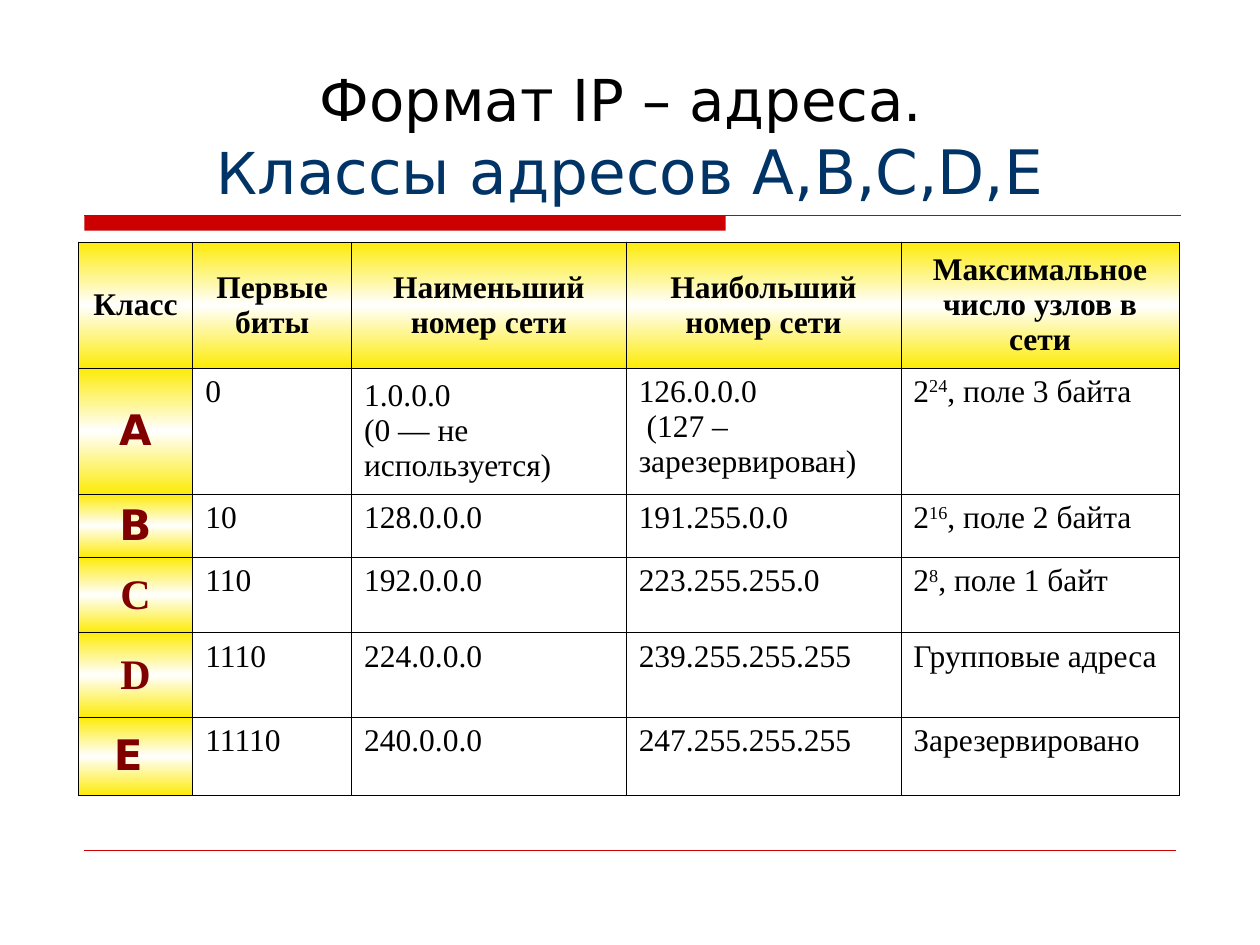
from lxml import etree
from pptx import Presentation
from pptx.dml.color import RGBColor
from pptx.enum.shapes import MSO_CONNECTOR, MSO_SHAPE
from pptx.enum.text import MSO_ANCHOR, PP_ALIGN
from pptx.oxml import parse_xml
from pptx.oxml.ns import nsdecls, qn
from pptx.util import Inches, Pt

CENTER, LEFT = PP_ALIGN.CENTER, PP_ALIGN.LEFT
MIDDLE, TOP, BOTTOM = MSO_ANCHOR.MIDDLE, MSO_ANCHOR.TOP, MSO_ANCHOR.BOTTOM
SANS, SERIF = "DejaVu Sans", "Times New Roman"
BLACK, WHITE, RED = "000000", "FFFFFF", "CC0000"
NAVY, MAROON, YELLOW = "003366", "800000", "FDEB07"

TITLE = [
    ("Формат IP – адреса. \v", 33, BLACK),
    ("К", 33, NAVY),
    ("лассы адресов A,B,C,D,E", 35, NAVY),
]
HEADERS = ["Класс", "Первые\nбиты", "Наименьший\nномер сети",
           "Наибольший\nномер сети", "Максимальное\nчисло узлов в\nсети"]
CLASSES = [
    ("А", "0", "1.0.0.0\n(0 — не\nиспользуется)",
     "126.0.0.0\n (127 –\nзарезервирован)", "2^24^, поле 3 байта"),
    ("В", "10", "128.0.0.0", "191.255.0.0", "2^16^, поле 2 байта"),
    ("С", "110", "192.0.0.0", "223.255.255.0", "2^8^, поле 1 байт"),
    ("D", "1110", "224.0.0.0", "239.255.255.255", "Групповые адреса"),
    ("Е ", "11110", "240.0.0.0", "247.255.255.255", "Зарезервировано"),
]
SERIF_CLASSES = ("С", "D")
COLUMN_WIDTHS = [0.91, 1.26, 2.18, 2.18, 2.21]
ROW_HEIGHTS = [1, 1, 0.5, 0.6, 0.67, 0.62]


def color(value):
    return RGBColor.from_string(value)


def format_run(run, size, name, value, bold=False):
    run.font.size = Pt(size)
    run.font.name = name
    run.font.color.rgb = color(value)
    run.font.bold = bold


def add_line(slide, left, right, y, width):
    line = slide.shapes.add_connector(
        MSO_CONNECTOR.STRAIGHT, Inches(left), Inches(y), Inches(right), Inches(y))
    line.line.color.rgb = color(RED)
    line.line.width = Pt(width)
    etree.SubElement(line._element.spPr, qn("a:effectLst"))


def add_title(slide):
    box = slide.shapes.add_textbox(Inches(0.63), Inches(0.33), Inches(8.75), Inches(1.33))
    frame = box.text_frame
    frame.word_wrap = True
    frame.vertical_anchor = BOTTOM
    frame.margin_bottom = Inches(0.02)
    paragraph = frame.paragraphs[0]
    paragraph.alignment = CENTER
    for text, size, value in TITLE:
        run = paragraph.add_run()
        run.text = text.rstrip("\v")
        format_run(run, size, SANS, value)
        if text.endswith("\v"):
            paragraph.add_line_break()


def add_borders(cell):
    properties = cell._tc.get_or_add_tcPr()
    for side in ("lnL", "lnR", "lnT", "lnB"):
        properties.append(parse_xml(
            f'<a:{side} {nsdecls("a")} w="{Pt(0.45)}"><a:solidFill>'
            f'<a:srgbClr val="{BLACK}"/></a:solidFill></a:{side}>'))


def fill_gradient(cell):
    stops = "".join(
        f'<a:gs pos="{position * 1000}"><a:srgbClr val="{value}"/></a:gs>'
        for position, value in ((0, YELLOW), (50, WHITE), (100, YELLOW)))
    cell._tc.get_or_add_tcPr().append(parse_xml(
        f'<a:gradFill {nsdecls("a")} rotWithShape="1"><a:gsLst>{stops}</a:gsLst>'
        '<a:lin ang="5400000" scaled="0"/></a:gradFill>'))


def write_cell(cell, text, size, name, value, bold, alignment):
    frame = cell.text_frame
    for index, line in enumerate(text.split("\n")):
        paragraph = frame.paragraphs[0] if index == 0 else frame.add_paragraph()
        paragraph.alignment = alignment
        for part, piece in enumerate(line.split("^")):
            run = paragraph.add_run()
            run.text = piece
            format_run(run, size, name, value, bold)
            if part % 2:
                run._r.get_or_add_rPr().set("baseline", "30000")


def add_class_table(slide):
    rows = [HEADERS, *CLASSES]
    table = slide.shapes.add_table(
        len(rows), len(HEADERS), Inches(0.62), Inches(1.92),
        Inches(sum(COLUMN_WIDTHS)), Inches(sum(ROW_HEIGHTS))).table
    table.first_row = table.horz_banding = False
    for column, width in zip(table.columns, COLUMN_WIDTHS):
        column.width = Inches(width)
    for row, height in zip(table.rows, ROW_HEIGHTS):
        row.height = Inches(height)
    for row_index, texts in enumerate(rows):
        for column_index, text in enumerate(texts):
            cell = table.cell(row_index, column_index)
            is_heading = row_index == 0 or column_index == 0
            add_borders(cell)
            if is_heading:
                fill_gradient(cell)
            else:
                cell.fill.solid()
                cell.fill.fore_color.rgb = color(WHITE)
            is_centered = is_heading or (row_index, column_index) == (1, 2)
            cell.vertical_anchor = MIDDLE if is_centered else TOP
            if row_index and column_index == 0:
                name = SERIF if text in SERIF_CLASSES else SANS
                style = (24, name, MAROON)
            else:
                style = (18, SERIF, BLACK)
            write_cell(cell, text, *style, is_heading, CENTER if is_heading else LEFT)


def main():
    presentation = Presentation()
    presentation.slide_width = Inches(10)
    presentation.slide_height = Inches(7.5)
    slide = presentation.slides.add_slide(presentation.slide_layouts[6])
    bar = slide.shapes.add_shape(
        MSO_SHAPE.RECTANGLE, Inches(0.67), Inches(1.71), Inches(5.09), Inches(0.12))
    bar.shadow.inherit = False
    bar.fill.solid()
    bar.fill.fore_color.rgb = color(RED)
    bar.line.fill.background()
    add_line(slide, 0.67, 9.37, 1.71, 0.75)
    add_line(slide, 0.67, 9.33, 6.75, 0.25)
    add_title(slide)
    add_class_table(slide)
    presentation.save("out.pptx")


if __name__ == "__main__":
    main()
